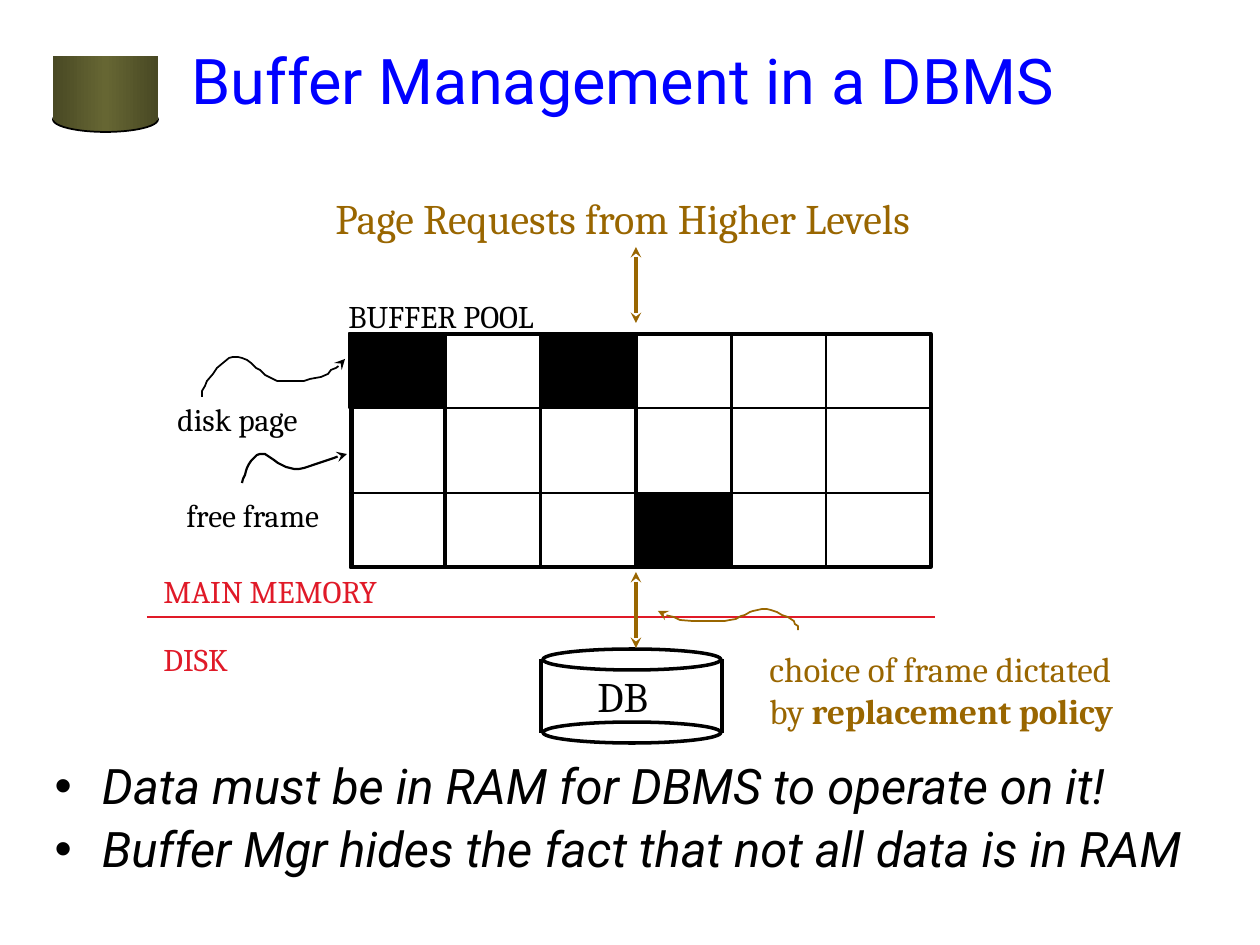
from copy import deepcopy

from lxml.etree import SubElement
from pptx import Presentation
from pptx.dml.color import RGBColor
from pptx.enum.shapes import MSO_CONNECTOR, MSO_SHAPE
from pptx.enum.text import MSO_ANCHOR, MSO_AUTO_SIZE, PP_ALIGN
from pptx.oxml.ns import qn
from pptx.util import Pt

SCALE = 914400 / 126
COLORS = {
    "ink": "000000", "title": "0000FF", "red": "E01A28", "gold": "996600",
    "olive_dark": "494924", "olive": "666633",
}

DISK_PAGE_CURVE = [
    (202, 397), (202, 391), (205, 386), (207, 381), (213, 374), (217, 368),
    (223, 363), (229, 358), (233, 357), (238, 357), (242, 358), (247, 360),
    (251, 363), (256, 368), (260, 370), (265, 375), (271, 378), (277, 381),
    (304, 381), (310, 379), (321, 377), (328, 374), (331, 370), (336, 368),
    (340, 365), (345, 359),
]
POLICY_CURVE = [
    (798, 630), (798, 626), (795, 624), (794, 621), (788, 617), (782, 615),
    (777, 612), (771, 610), (767, 609), (762, 609), (753, 611), (750, 612),
    (745, 615), (741, 616), (736, 619), (730, 620), (725, 621), (692, 621),
    (680, 620), (674, 617), (665, 615), (662, 614), (658, 611),
]
FREE_FRAME_BEZIERS = [
    [(242, 483), (246, 470), (251, 456), (260, 454)],
    [(260, 454), (267, 451), (280, 469), (294, 469)],
    [(294, 469), (309, 469), (336, 456), (347, 454)],
]


def emu(*pixels):
    return [round(value * SCALE) for value in pixels]


def color(name):
    return RGBColor.from_string(COLORS[name])


def place(shape, left, top, width, height):
    shape.left, shape.top, shape.width, shape.height = emu(left, top, width, height)


def format_line(shape, name, width, ends=()):
    shape.line.color.rgb = color(name)
    shape.line.width = Pt(width)
    outline = shape._element.spPr.find(qn("a:ln"))
    for end in ends:
        SubElement(outline, qn(f"a:{end}"), type="stealth")


def add_outline(page, kind, area, width=1, fill=None):
    shape = page.shapes.add_shape(kind, *emu(*area))
    shape.shadow.inherit = False
    if fill:
        shape.fill.solid()
        shape.fill.fore_color.rgb = color(fill)
    else:
        shape.fill.background()
    if width:
        format_line(shape, "ink", width)
    else:
        shape.line.fill.background()
    return shape


def add_line(page, start, end, name="ink", width=1, ends=()):
    line = page.shapes.add_connector(MSO_CONNECTOR.STRAIGHT, *emu(*start, *end))
    format_line(line, name, width, ends)
    SubElement(line._element.spPr, qn("a:effectLst"))


def add_curve(page, points, name="ink", width=1):
    builder = page.shapes.build_freeform(*points[0], scale=SCALE)
    builder.add_line_segments(points[1:], close=False)
    curve = builder.convert_to_shape()
    curve.shadow.inherit = False
    curve.fill.background()
    format_line(curve, name, width, ["tailEnd"])


def sample_beziers(segments, steps=10):
    points = [segments[0][0]]
    for segment in segments:
        for step in range(1, steps + 1):
            t = step / steps
            weights = ((1 - t) ** 3, 3 * t * (1 - t) ** 2, 3 * t * t * (1 - t), t ** 3)
            points.append(tuple(
                sum(weight * point[axis] for weight, point in zip(weights, segment))
                for axis in (0, 1)))
    return points


def add_span(para, text, size, name="ink", font="Cambria", bold=False, italic=False):
    span = para.add_run()
    span.text = text
    span.font.name, span.font.size = font, Pt(size)
    span.font.bold, span.font.italic = bold, italic
    span.font.color.rgb = color(name)


def add_label(page, text, area, size=18, name="ink", wrap=False):
    box = page.shapes.add_textbox(*emu(*area))
    box.text_frame.word_wrap = wrap
    box.text_frame.auto_size = MSO_AUTO_SIZE.SHAPE_TO_FIT_TEXT
    add_span(box.text_frame.paragraphs[0], text, size, name)
    return box


def add_olive_shape(page, kind, area, width):
    shape = add_outline(page, kind, area, width)
    shape.fill.gradient()
    shape.fill.gradient_angle = 0
    stops = shape._element.spPr.find(qn("a:gradFill")).find(qn("a:gsLst"))
    stops.insert(1, deepcopy(stops[0]))
    names = ("olive_dark", "olive", "olive_dark")
    for stop, position, name in zip(shape.fill.gradient_stops, (0, 0.5, 1), names):
        stop.position = position
        stop.color.rgb = color(name)


def fill_placeholders(page):
    title, body = page.shapes.title, page.placeholders[1]
    place(title, 179, 0, 987, 158)
    title.text_frame.vertical_anchor = MSO_ANCHOR.MIDDLE
    title.text_frame.auto_size = MSO_AUTO_SIZE.NONE
    heading = title.text_frame.paragraphs[0]
    heading.alignment = PP_ALIGN.LEFT
    add_span(heading, "Buffer Management in a DBMS", 36, "title", "Roboto")

    place(body, 42, 756, 1176, 84)
    frame = body.text_frame
    frame.auto_size = MSO_AUTO_SIZE.NONE
    points = ("Data must be in RAM for DBMS to operate on it!",
              "Buffer Mgr hides the fact that not all data is in RAM")
    for index, text in enumerate(points):
        para = frame.add_paragraph() if index else frame.paragraphs[0]
        para.line_spacing = 0.9
        add_span(para, text, 28, font="Roboto", italic=True)


def draw_buffer_pool(page):
    add_outline(page, MSO_SHAPE.RECTANGLE, (352, 334, 579, 233), 2)
    offsets = [(191 * column + 1) // 2 for column in range(5)]
    for offset in offsets:
        add_outline(page, MSO_SHAPE.RECTANGLE, (350 + offset, 333, 94, 235))
    for y in (408, 493):
        add_line(page, (349, y), (932, y))
    for column, top in ((0, 333), (2, 333), (3, 493)):
        area = (349 + offsets[column], top, 96, 75)
        add_outline(page, MSO_SHAPE.RECTANGLE, area, fill="ink")


def draw_database(page):
    for top in (649, 722):
        add_outline(page, MSO_SHAPE.OVAL, (543, top, 178, 21), 2)
    for x in (541, 722):
        add_line(page, (x, 659), (x, 733), width=2)
    add_label(page, "DB", (585, 664, 88, 63), 24, wrap=True)


def main():
    deck = Presentation()
    deck.slide_width, deck.slide_height = emu(1260, 945)
    page = deck.slides.add_slide(deck.slide_layouts[1])

    # Corner ornament
    add_olive_shape(page, MSO_SHAPE.OVAL, (53, 107, 105, 25), 1)
    add_olive_shape(page, MSO_SHAPE.RECTANGLE, (53, 56, 105, 64), 0)

    # Title, list and diagram bodies
    fill_placeholders(page)
    draw_buffer_pool(page)
    draw_database(page)

    # Boundary between memory and disk
    add_line(page, (147, 617), (935, 617), "red")

    # Labels
    for text, area, size, name in (
        ("MAIN MEMORY", (151, 566, 270, 50), 18, "red"),
        ("DISK", (151, 634, 100, 50), 18, "red"),
        ("disk page", (165, 394, 160, 50), 18, "ink"),
        ("free frame", (174, 490, 168, 50), 18, "ink"),
        ("Page Requests from Higher Levels", (323, 186, 665, 63), 24, "gold"),
        ("BUFFER POOL", (336, 291, 241, 50), 18, "ink"),
    ):
        add_label(page, text, area, size, name)
    policy = add_label(page, "choice of frame dictated", (757, 641, 396, 97), 20, "gold")
    para = policy.text_frame.add_paragraph()
    add_span(para, "by ", 20, "gold")
    add_span(para, "replacement policy", 20, "gold", bold=True)

    # Arrows
    for top in (247, 572):
        add_line(page, (636, top), (636, top + 76), "gold", 2, ["headEnd", "tailEnd"])
    add_curve(page, DISK_PAGE_CURVE)
    add_curve(page, POLICY_CURVE, "gold")
    add_curve(page, sample_beziers(FREE_FRAME_BEZIERS), width=1.25)

    deck.save("out.pptx")


main()
